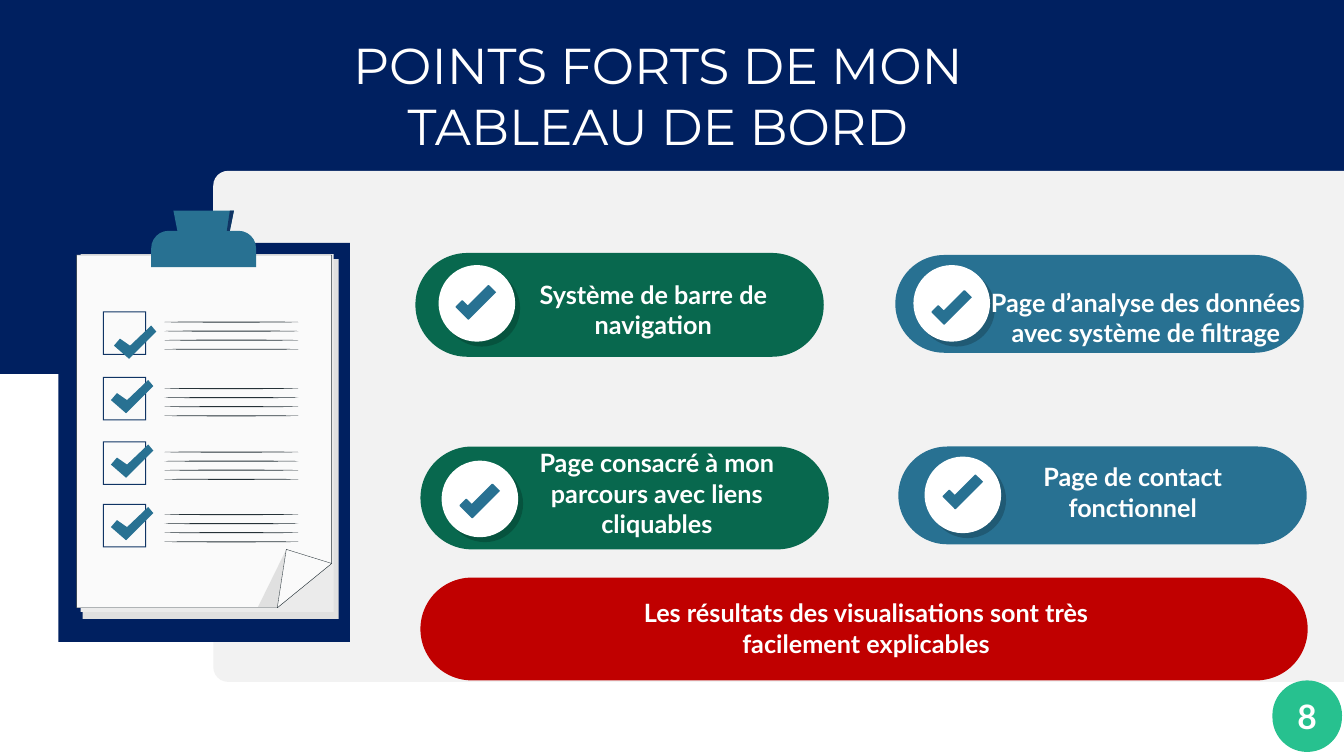
from dataclasses import dataclass

from lxml import etree
from pptx import Presentation
from pptx import util as u
from pptx.dml.color import RGBColor
from pptx.enum import shapes, text
from pptx.oxml import ns

NAVY = RGBColor(0x00, 0x20, 0x60)
DARK_BLUE = RGBColor(0x10, 0x34, 0x64)
BLUE = RGBColor(0x28, 0x71, 0x92)
GREEN = RGBColor(0x08, 0x68, 0x4E)
MINT = RGBColor(0x27, 0xC1, 0x8F)
RED = RGBColor(0xC0, 0x00, 0x00)
INK = RGBColor(0x26, 0x32, 0x38)
PAPER = RGBColor(0xFA, 0xFA, 0xFA)
PANEL_GREY = RGBColor(0xF2, 0xF2, 0xF2)
LIGHT_GREY = RGBColor(0xEB, 0xEB, 0xEB)
GREY = RGBColor(0xE0, 0xE0, 0xE0)
WHITE = RGBColor(0xFF, 0xFF, 0xFF)

Box = tuple[float, float, float, float]
Points = list[tuple[float, float]]
Kind = shapes.MSO_SHAPE

LIST_TICK: Points = [(0, 0.2), (0.06, 0.13), (0.16, 0.2), (0.37, 0),
                     (0.42, 0.06), (0.15, 0.33)]
BADGE_TICK: Points = [(0.4, 0.07), (0.33, 0), (0.32, 0), (0.12, 0.2),
                      (0.07, 0.15), (0.06, 0.15), (0, 0.21), (0, 0.22),
                      (0.12, 0.34), (0.13, 0.34)]
BADGE_SIZE = 0.76


@dataclass
class Strength:
    label: str
    pill: Box
    color: RGBColor
    label_box: Box
    badge: tuple[float, float] | None = None
    tick: tuple[float, float] | None = None


@dataclass
class ChecklistRow:
    top: float
    tick: tuple[float, float]
    lines_top: float


STRENGTHS = [
    Strength("Système de barre de navigation", (4.12, 2.51, 4.05, 1.03), GREEN,
             (5.08, 2.8, 2.8, 0.57), (4.35, 2.63), (4.52, 2.83)),
    Strength("Page d’analyse des données avec système de filtrage",
             (8.88, 2.53, 4.05, 0.97), BLUE,
             (9.77, 2.49, 3.19, 0.96), (9.06, 2.63), (9.24, 2.88)),
    Strength("Page consacré à mon parcours avec liens cliquables",
             (4.17, 4.43, 4.05, 1.02), GREEN,
             (5.16, 4.59, 2.71, 0.75), (4.38, 4.57), (4.56, 4.8)),
    Strength("Page de contact fonctionnel", (8.91, 4.43, 4.05, 0.97), BLUE,
             (9.89, 4.59, 2.69, 0.59), (9.17, 4.53), (9.35, 4.71)),
    Strength("Les résultats des visualisations sont très facilement explicables",
             (4.17, 5.73, 8.8, 1.02), RED, (6.19, 5.96, 4.8, 0.57)),
]

CHECKLIST = [
    ChecklistRow(3.09, (1.13, 3.23), 3.19),
    ChecklistRow(3.74, (1.1, 3.77), 3.85),
    ChecklistRow(4.38, (1.1, 4.41), 4.48),
    ChecklistRow(5.0, (1.1, 5.03), 5.1),
]


def paint(shape, color: RGBColor) -> None:
    shape.shadow.inherit = False
    shape.fill.solid()
    shape.fill.fore_color.rgb = color
    shape.line.fill.background()


def add_preset(parent, kind, box: Box, color: RGBColor, *adjustments: float):
    shape = parent.add_shape(kind, *map(u.Inches, box))
    paint(shape, color)
    for index, value in enumerate(adjustments):
        shape.adjustments[index] = value
    return shape


def add_outline(parent, color: RGBColor, *contours: Points,
                at: tuple[float, float] = (0, 0)):
    """Fill one shape made of closed contours, shifted by `at` inches."""
    moved = [[(u.Inches(x + at[0]), u.Inches(y + at[1])) for x, y in contour]
             for contour in contours]
    builder = parent.build_freeform(*moved[0][0])
    for index, contour in enumerate(moved):
        if index:
            builder.move_to(*contour[0])
        builder.add_line_segments(contour[1:], close=True)
    shape = builder.convert_to_shape()
    paint(shape, color)
    return shape


def ink_edge(shape) -> None:
    shape.line.color.rgb = INK
    shape.line.width = u.Pt(0.25)


def square(inset: float, size: float) -> Points:
    far = size - inset
    return [(inset, inset), (far, inset), (far, far), (inset, far)]


def format_text(frame, wording: str, size: float, font_name: str, bold: bool) -> None:
    frame.text = wording
    frame.word_wrap = True
    paragraph = frame.paragraphs[0]
    paragraph.alignment = text.PP_ALIGN.CENTER
    font = paragraph.runs[0].font
    font.name, font.size, font.bold = font_name, u.Pt(size), bold
    font.color.rgb = WHITE


def remove_margins(frame) -> None:
    frame.margin_left = frame.margin_right = frame.margin_top = frame.margin_bottom = 0


def cast_shadow(shape) -> None:
    effects = shape.element.spPr.find(ns.qn("a:effectLst"))
    shadow = etree.SubElement(effects, ns.qn("a:outerShdw"), blurRad="0",
                              dist=str(u.Pt(5)), dir="2700000", algn="tl",
                              rotWithShape="0")
    black = etree.SubElement(shadow, ns.qn("a:srgbClr"), val="000000")
    etree.SubElement(black, ns.qn("a:alpha"), val="20000")


def add_title(slide) -> None:
    title = slide.shapes.title
    header = add_preset(slide.shapes, Kind.RECTANGLE, (0, -0.06, 13.33, 3.77), NAVY)
    panel = add_preset(slide.shapes, Kind.ROUND_2_SAME_RECTANGLE,
                       (5.19, -1.38, 5.07, 11.22), PANEL_GREY, 0, 0.029)
    panel.rotation = 90
    for backdrop in (header, panel):
        title.element.addprevious(backdrop.element)
    title.left, title.top, title.width, title.height = map(
        u.Inches, (2.7, 0.34, 7.65, 1.21))
    frame = title.text_frame
    format_text(frame, "POINTS FORTS DE MON TABLEAU DE BORD", 36, "Montserrat", False)
    remove_margins(frame)
    frame.vertical_anchor = text.MSO_ANCHOR.TOP
    frame.auto_size = text.MSO_AUTO_SIZE.SHAPE_TO_FIT_TEXT


def add_page_number(parent) -> None:
    badge = add_preset(parent, Kind.ROUNDED_RECTANGLE, (12.61, 6.76, 0.71, 0.69),
                       MINT, 0.5)
    badge.rotation = 90
    format_text(badge.text_frame, "8", 24, "Lato", True)
    badge.text_frame.vertical_anchor = text.MSO_ANCHOR.MIDDLE
    badge.element.txBody.bodyPr.set("vert", "vert270")


def add_clipboard(slide) -> None:
    clipboard = slide.shapes.add_group_shape().shapes
    for box, color in [((0.58, 2.41, 2.89, 3.96), NAVY),
                       ((0.82, 2.57, 2.54, 3.57), GREY),
                       ((0.8, 2.52, 2.51, 3.55), LIGHT_GREY)]:
        add_preset(clipboard, Kind.RECTANGLE, box, color)
    ink_edge(add_outline(clipboard, PAPER, [
        (3.29, 5.59), (2.75, 6.03), (0.76, 6.03), (0.76, 2.53), (3.29, 2.53)]))
    add_preset(clipboard, Kind.ROUND_2_SAME_RECTANGLE, (1.5, 2.29, 1.04, 0.36),
               BLUE, 0.48, 0)
    add_outline(clipboard, BLUE, [(1.76, 2.29), (1.72, 2.09), (2.32, 2.09), (2.28, 2.29)])
    add_outline(clipboard, DARK_BLUE,
                [(2.32, 2.09), (2.28, 2.09), (2.25, 2.29), (2.28, 2.29)])
    for row in CHECKLIST:
        add_outline(clipboard, DARK_BLUE, square(0, 0.43), square(0.01, 0.43),
                    at=(1.02, row.top))
        add_outline(clipboard, BLUE, LIST_TICK, at=row.tick)
        for index in range(4):
            add_preset(clipboard, Kind.OVAL,
                       (1.63, row.lines_top + 0.09 * index, 1.33, 0.01), INK)
    add_outline(clipboard, GREY, [(2.84, 5.45), (2.56, 6.02), (2.75, 6.02)])
    ink_edge(add_outline(clipboard, PAPER, [(2.75, 6.03), (2.84, 5.45), (3.29, 5.59)]))


def add_strength(parent, strength: Strength) -> None:
    add_preset(parent, Kind.ROUNDED_RECTANGLE, strength.pill, strength.color, 0.5)
    if strength.badge and strength.tick:
        badge = add_preset(parent, Kind.OVAL,
                           (*strength.badge, BADGE_SIZE, BADGE_SIZE), WHITE)
        cast_shadow(badge)
        add_outline(parent, BLUE, BADGE_TICK, at=strength.tick)
    frame = parent.add_textbox(*map(u.Inches, strength.label_box)).text_frame
    format_text(frame, strength.label, 18, "Lato", True)
    remove_margins(frame)
    frame.vertical_anchor = text.MSO_ANCHOR.BOTTOM


def main() -> None:
    deck = Presentation()
    deck.slide_width, deck.slide_height = u.Inches(13.33), u.Inches(7.5)
    slide = deck.slides.add_slide(deck.slide_layouts[5])
    add_title(slide)
    add_page_number(slide.shapes)
    add_clipboard(slide)
    for strength in STRENGTHS:
        add_strength(slide.shapes, strength)
    deck.save("out.pptx")


if __name__ == "__main__":
    main()
